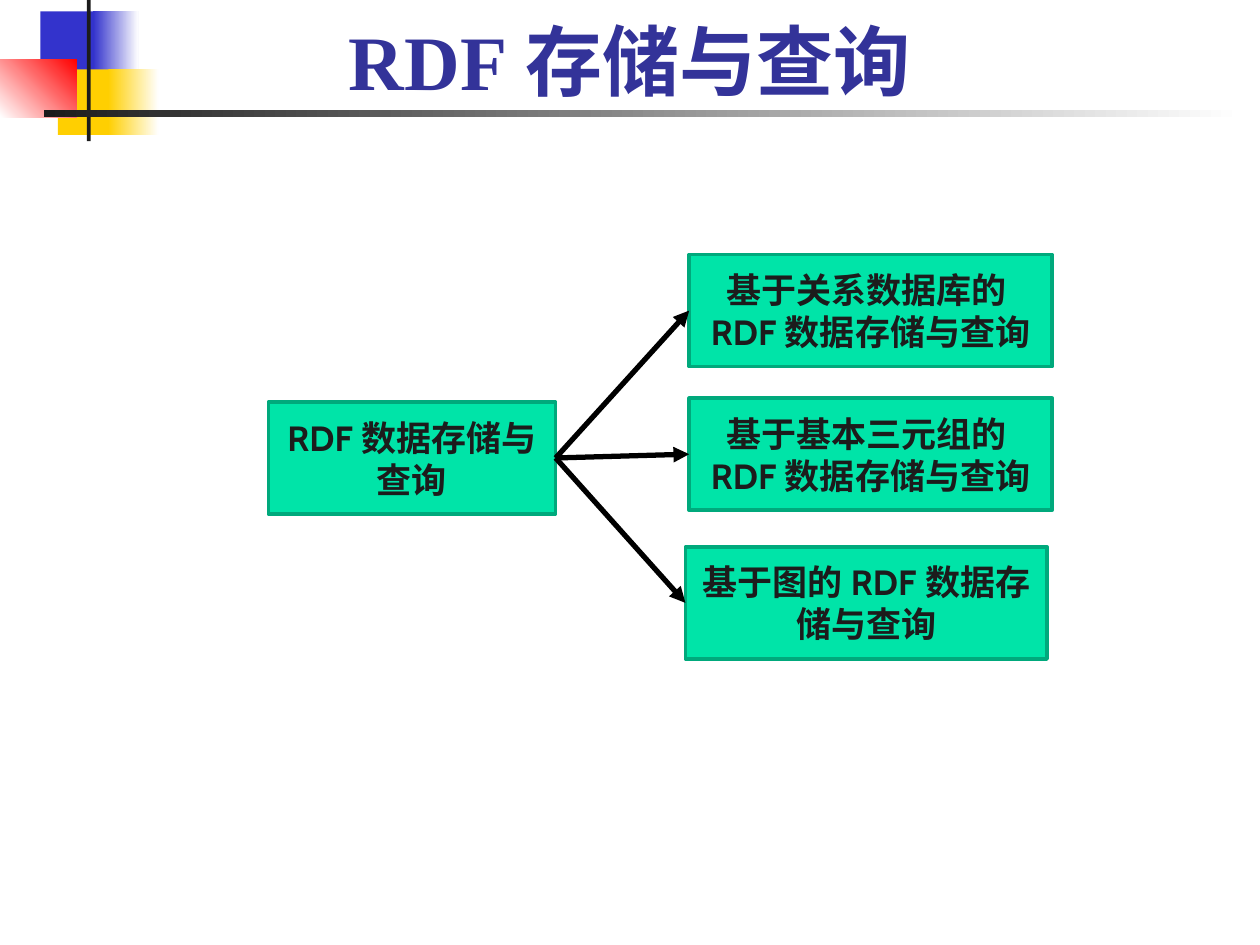
from pptx import Presentation, util as u
from pptx.dml.color import RGBColor
from pptx.enum import shapes, text
from pptx.oxml import parse_xml
from pptx.oxml.ns import nsdecls


def rgb(code):
    return RGBColor.from_string(code)


class Deck:
    dark = "1C1C1C"
    green = "00E4A8"
    edge = "00A97C"

    def __init__(self):
        self.prs = Presentation()
        self.prs.slide_width = u.Inches(10)
        self.prs.slide_height = u.Inches(7.5)
        self.slide = self.prs.slides.add_slide(self.prs.slide_layouts[5])

    def font(self, para, name, size, color):
        para.alignment = text.PP_ALIGN.CENTER
        para.font.name = name
        para.font.size = u.Pt(size)
        para.font.bold = True
        para.font.color.rgb = rgb(color)

    def title(self, words, left, top, width, height):
        head = self.slide.shapes.title
        head.left, head.top = u.Inches(left), u.Inches(top)
        head.width, head.height = u.Inches(width), u.Inches(height)
        frame = head.text_frame
        frame.text = words
        frame.auto_size = text.MSO_AUTO_SIZE.NONE
        frame.vertical_anchor = text.MSO_ANCHOR.BOTTOM
        self.font(frame.paragraphs[0], "Times New Roman", 44, "333399")

    def rect(self, left, top, width, height):
        box = self.slide.shapes.add_shape(
            shapes.MSO_SHAPE.RECTANGLE,
            *map(u.Inches, (left, top, width, height)))
        box.shadow.inherit = False
        return box

    def block(self, place, *colors, angle=0):
        box = self.rect(*place)
        box.line.fill.background()
        if len(colors) == 1:
            box.fill.solid()
            box.fill.fore_color.rgb = rgb(colors[0])
            return
        box.fill.gradient()
        box.fill.gradient_angle = angle
        for stop, color in zip(box.fill.gradient_stops, colors):
            stop.color.rgb = rgb(color)
        for stop, spot in zip(box.fill.gradient_stops, (0, 1)):
            stop.position = spot

    def node(self, words, left, top, width):
        box = self.rect(left, top, width, 0.89)
        box.fill.solid()
        box.fill.fore_color.rgb = rgb(self.green)
        box.line.color.rgb = rgb(self.edge)
        box.line.width = u.Pt(2)
        frame = box.text_frame
        frame.text = words
        frame.word_wrap = True
        frame.vertical_anchor = text.MSO_ANCHOR.MIDDLE
        self.font(frame.paragraphs[0], "Cabin", 20, self.dark)
        return box

    def arrow(self, start, end):
        link = self.slide.shapes.add_connector(
            shapes.MSO_CONNECTOR.STRAIGHT, 0, 0, 0, 0)
        link.begin_connect(start, 3)
        link.end_connect(end, 1)
        link.line.color.rgb = rgb("000000")
        link.line.width = u.Pt(3)
        link.line._get_or_add_ln().append(
            parse_xml(f'<a:tailEnd {nsdecls("a")} type="triangle"/>'))
        link._element.spPr.append(
            parse_xml(f'<a:effectLst {nsdecls("a")}/>'))


def main():
    deck = Deck()
    blue, gold, red, white = "3333CC", "FFCF01", "FF0000", "FFFFFF"
    deck.block((0.32, 0.09, 0.48, 0.52), blue)
    deck.block((0.74, 0.09, 0.36, 0.52), blue, white)
    deck.block((0.46, 0.55, 0.46, 0.52), gold)
    deck.block((0.86, 0.55, 0.4, 0.52), gold, white)
    deck.block((0, 0.47, 0.61, 0.46), white, red, angle=45)
    deck.block((0.69, -0.03, 0.03, 1.15), deck.dark)
    deck.block((0.35, 0.87, 9.51, 0.06), deck.dark, white)

    deck.title("RDF存储与查询", 0.59, 0, 8.82, 0.89)

    root = deck.node("RDF数据存储与查询", 2.13, 3.19, 2.28)
    kinds = [
        ("基于关系数据库的RDF数据存储与查询", 5.47, 2.02, 2.88),
        ("基于基本三元组的RDF数据存储与查询", 5.47, 3.16, 2.88),
        ("基于图的RDF数据存储与查询", 5.44, 4.34, 2.87),
    ]
    for kind in kinds:
        deck.arrow(root, deck.node(*kind))

    deck.prs.save("out.pptx")


if __name__ == "__main__":
    main()
